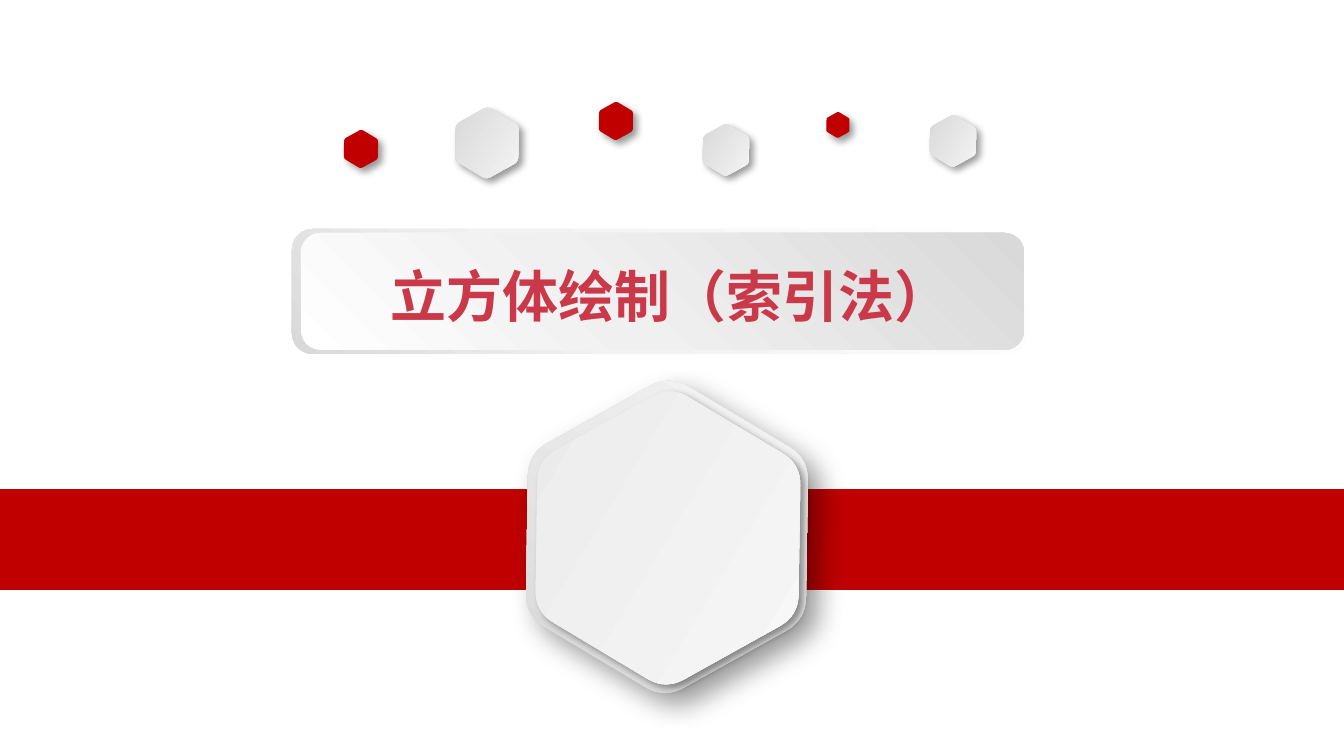
import math
from lxml import etree
from pptx import Presentation
from pptx.dml.color import RGBColor
from pptx.enum import shapes, text
from pptx.oxml import parse_xml
from pptx.oxml.ns import nsdecls, qn
from pptx.util import Pt

PX = 914400 * 10 / 1344
THEME = {
    "red": "C00000",
    "title": "C9394A",
    "title_size": 30,
    "font": "Noto Sans CJK SC",
    "silver": [(0, "D3D3D3"), (100, "F9F9F9")],
    "pale": [(0, "E9E9E9"), (100, "F9F9F9")],
    "frame": [(0, "FFFFFF"), (62, "F2F2F2"), (100, "D9D9D9")],
    "plate": [(0, "FFFFFF"), (42, "F0F0F0"), (100, "D9D9D9")],
}


def paint(shape, fill, angle=0, shadow=None):
    """Fill with one colour or gradient stops; shadow is (blur, distance) in points."""
    shape.shadow.inherit = False
    shape.line.fill.background()
    if isinstance(fill, str):
        shape.fill.solid()
        shape.fill.fore_color.rgb = RGBColor.from_string(fill)
    else:
        stops = "".join(f'<a:gs pos="{at * 1000}"><a:srgbClr val="{color}"/></a:gs>'
                        for at, color in fill)
        shape.fill.background()
        no_fill = shape._element.spPr.find(qn("a:noFill"))
        no_fill.getparent().replace(no_fill, parse_xml(
            f'<a:gradFill {nsdecls("a")} rotWithShape="1"><a:gsLst>{stops}</a:gsLst>'
            f'<a:lin ang="{angle * 60000}" scaled="0"/></a:gradFill>'))
    if shadow:
        blur, distance = shadow
        shape._element.spPr.find(qn("a:effectLst")).append(parse_xml(
            f'<a:outerShdw {nsdecls("a")} blurRad="{Pt(blur)}" dist="{Pt(distance)}" '
            'dir="2700000" algn="tl" rotWithShape="0"><a:srgbClr val="000000">'
            '<a:alpha val="40000"/></a:srgbClr></a:outerShdw>'))


def add_hexagon(parent, x, y, height, fill, angle=0, shadow=(4, 3)):
    """Rounded hexagon centred on x, y; each corner is a sampled quadratic curve."""
    side = height / math.sqrt(3)
    corners = [(x + side * math.cos(math.radians(a)), y + side * math.sin(math.radians(a)))
               for a in range(0, 360, 60)]
    trim, steps = 0.14, 8
    outline = []
    for i, corner in enumerate(corners):
        before, after = corners[i - 1], corners[(i + 1) % 6]
        for step in range(steps + 1):
            t = step / steps
            outline.append([
                (c + trim * ((1 - t) ** 2 * (b - c) + t ** 2 * (a - c))) * PX
                for b, c, a in zip(before, corner, after)])
    builder = parent.build_freeform(*outline[0], scale=1.0)
    builder.add_line_segments(outline[1:], close=True)
    hexagon = builder.convert_to_shape()
    hexagon.rotation = 30.9
    paint(hexagon, fill, angle, shadow)


prs = Presentation()
prs.slide_width, prs.slide_height = round(1344 * PX), round(756 * PX)
slide = prs.slides.add_slide(prs.slide_layouts[6])

# Red band
band = slide.shapes.add_shape(shapes.MSO_SHAPE.RECTANGLE,
                              *(round(n * PX) for n in (0, 489, 1344, 101)))
paint(band, THEME["red"])

# Row of small hexagons
for x, y, height, fill in [(361, 149, 34, "red"), (487, 143, 63, "silver"),
                           (616, 121, 34, "red"), (726, 150, 46, "silver"),
                           (838, 125, 23, "red"), (953, 141, 46, "silver")]:
    add_hexagon(slide.shapes, x, y, height, THEME[fill])

# Large hexagon badge
badge = slide.shapes.add_group_shape().shapes
add_hexagon(badge, 667, 537, 280, THEME["silver"], 270, (15, 9))
add_hexagon(badge, 668, 538, 263, THEME["pale"])

# Title plate
plate = slide.shapes.add_group_shape().shapes
for box, fill, angle in [((292, 229, 736, 125), "frame", 135),
                         ((301, 233, 723, 117), "plate", 315)]:
    panel = plate.add_shape(shapes.MSO_SHAPE.ROUNDED_RECTANGLE,
                            *(round(n * PX) for n in box))
    paint(panel, THEME[fill], angle)

# Title
title = slide.shapes.add_textbox(*(round(n * PX) for n in (302, 255, 737, 81))).text_frame
title.word_wrap = True
title.auto_size = text.MSO_AUTO_SIZE.SHAPE_TO_FIT_TEXT
title.paragraphs[0].alignment = text.PP_ALIGN.CENTER
run = title.paragraphs[0].add_run()
run.text = "立方体绘制（索引法）"
run.font.size = Pt(THEME["title_size"])
run.font.bold = True
run.font.color.rgb = RGBColor.from_string(THEME["title"])
run.font.name = THEME["font"]
etree.SubElement(run.font._element, qn("a:ea")).set("typeface", THEME["font"])

prs.save("out.pptx")
